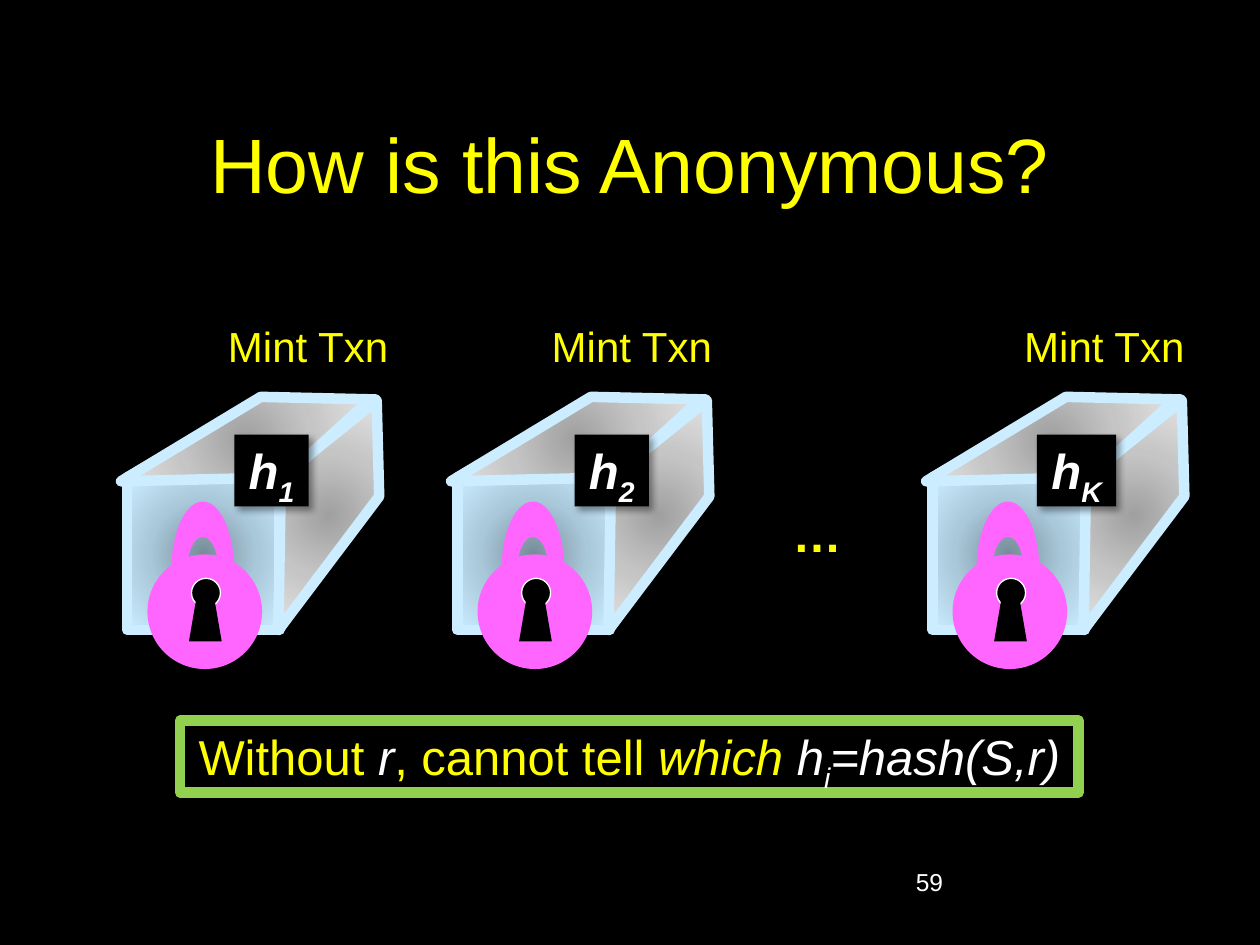
import math

from pptx import Presentation
from pptx.dml.color import RGBColor
from pptx.enum import shapes as kinds, text as txt
from pptx.oxml import parse_xml
from pptx.oxml.ns import nsdecls, qn
from pptx.util import Inches, Pt

BLACK, WHITE, YELLOW = "000000", "FFFFFF", "FFFF00"
ICE, PINK, GREEN = "CCECFF", "FF66FF", "92D050"
GLASS = ("778C99", "A9C8DA", "CCECFF")
STEEL = ("A0A0A0", "C5C5C5", "E3E3E3")
RECT, OVAL = kinds.MSO_SHAPE.RECTANGLE, kinds.MSO_SHAPE.OVAL


def paint(shape, fill=None, line=None, width=6, shadow=False):
    """Fill with a hex colour or a radial run of three; set outline and shadow."""
    props = shape._element.spPr
    if isinstance(fill, str):
        shape.fill.solid()
        shape.fill.fore_color.rgb = RGBColor.from_string(fill)
    elif hasattr(shape, "fill"):
        shape.fill.background()
        if fill:
            stops = "".join(f'<a:gs pos="{i * 50000}"><a:srgbClr val="{c}"/></a:gs>'
                            for i, c in enumerate(fill))
            props.replace(props.find(qn("a:noFill")), parse_xml(
                f'<a:gradFill {nsdecls("a")} rotWithShape="1"><a:gsLst>{stops}</a:gsLst>'
                '<a:path path="circle"><a:fillToRect l="50000" t="50000" r="50000" '
                'b="50000"/></a:path></a:gradFill>'))
    if line:
        shape.line.color.rgb = RGBColor.from_string(line)
        shape.line.width = Pt(width)
        shape.line._ln.append(parse_xml(f'<a:round {nsdecls("a")}/>'))
    else:
        shape.line.fill.background()
    effect = ('<a:outerShdw blurRad="50800" dist="38100" dir="2700000"><a:srgbClr val="000000">'
              '<a:alpha val="40000"/></a:srgbClr></a:outerShdw>') if shadow else ""
    props.append(parse_xml(f'<a:effectLst {nsdecls("a")}>{effect}</a:effectLst>'))


def write(shape, *runs, size=28, color=YELLOW, bold=False, center=True, wrap=False,
          anchor=txt.MSO_ANCHOR.TOP, grow=True):
    """Each run is (text, format), with format keys color, italic and sub."""
    frame = shape.text_frame
    frame.word_wrap = wrap
    frame.vertical_anchor = anchor
    frame.auto_size = (txt.MSO_AUTO_SIZE.SHAPE_TO_FIT_TEXT if grow
                       else txt.MSO_AUTO_SIZE.NONE)
    paragraph = frame.paragraphs[0]
    paragraph.alignment = txt.PP_ALIGN.CENTER if center else txt.PP_ALIGN.LEFT
    for words, form in runs:
        run = paragraph.add_run()
        run.text = words
        font = run.font
        font.name, font.size, font.bold = "Arial", Pt(size), bold
        font.italic = form.get("italic", False)
        font.color.rgb = RGBColor.from_string(form.get("color", color))
        if form.get("sub"):
            font._element.set("baseline", "-25000")


prs = Presentation()
prs.slide_width, prs.slide_height = Inches(10), Inches(7.5)
slide = prs.slides.add_slide(prs.slide_layouts[5])
slide.background.fill.solid()
slide.background.fill.fore_color.rgb = RGBColor.from_string(BLACK)

# Title and page number
title = slide.shapes.title
title.left, title.top, title.width, title.height = map(Inches, (0.75, 0.67, 8.5, 1.25))
write(title, ("How is this Anonymous?", {}), size=44, wrap=True,
      anchor=txt.MSO_ANCHOR.MIDDLE, grow=False)
page = slide.shapes.add_textbox(*map(Inches, (7.17, 6.83, 2.08, 0.5)))
write(page, ("59", {}), size=14, color=WHITE, center=False, wrap=True, grow=False)

# Locked box parts, placed as in the first box
back = (RECT, (2.09, 3.17, 0.89, 0.75), dict(line=ICE))
front = (RECT, (1.01, 3.79, 1.21, 1.21), dict(fill=GLASS, line=ICE))
edges = [(1.01, 3.79, 2.09, 3.17), (2.21, 5, 2.98, 3.92), (2.26, 3.79, 2.98, 3.17)]
side = ([(2.23, 3.79), (2.99, 3.18), (3.01, 3.94), (2.21, 5)], dict(fill=STEEL, line=ICE))
lid = ([(2.07, 3.15), (0.96, 3.82), (2.26, 3.79), (2.94, 3.17)], dict(fill=STEEL, line=ICE))
body = (OVAL, (1.17, 4.4, 0.91, 0.91), dict(fill=PINK))
keyhole = (OVAL, (1.52, 4.59, 0.23, 0.23), dict(fill=BLACK, line=WHITE, width=0.75))
slot = ([(1.5, 5.09), (1.56, 4.74), (1.7, 4.74), (1.76, 5.09)], dict(fill=BLACK))

# Shackle: outer half ellipse one way, inner half ellipse back
turns = [math.pi * step / 24 for step in range(25)]
arcs = [(0.25, 0.55, turns), (0.125, 0.27, turns[::-1])]
shackle = ([(1.61 + rx * math.cos(t), 4.53 - ry * math.sin(t))
            for rx, ry, angles in arcs for t in angles], dict(fill=PINK))

for shift in (0, 2.62, 6.39):
    box = slide.shapes.add_group_shape().shapes
    for part in (back, front, *edges, side, lid, body, keyhole, slot, shackle):
        if part in edges:
            x1, y1, x2, y2 = part
            edge = box.add_connector(kinds.MSO_CONNECTOR.STRAIGHT, Inches(x1 + shift),
                                     Inches(y1), Inches(x2 + shift), Inches(y2))
            paint(edge, line=ICE)
        elif isinstance(part[0], list):
            points = [(Inches(x + shift), Inches(y)) for x, y in part[0]]
            outline = box.build_freeform(*points[0], scale=1.0)
            outline.add_line_segments(points[1:], close=True)
            paint(outline.convert_to_shape(), **part[1])
        else:
            preset, (x, y, w, h), look = part
            paint(box.add_shape(preset, *map(Inches, (x + shift, y, w, h))), **look)

# Ellipsis between the boxes
ellipsis = slide.shapes.add_shape(RECT, *map(Inches, (6.19, 3.95, 0.59, 0.57)))
paint(ellipsis, BLACK, shadow=True)
write(ellipsis, ("…", {}), bold=True)

# Conclusion
conclusion = slide.shapes.add_shape(RECT, *map(Inches, (1.43, 5.72, 7.13, 0.57)))
paint(conclusion, BLACK, GREEN, shadow=True)
formula = dict(color=WHITE, italic=True)
write(conclusion, ("Without ", {}), ("r", formula), (", cannot tell ", {}),
      ("which ", dict(italic=True)), ("h", formula), ("i", dict(formula, sub=True)),
      ("=hash(S,r)", formula))

# Hash labels
for index, x, width in (("1", 1.86, 0.59), ("2", 4.56, 0.59), ("K", 8.23, 0.63)):
    label = slide.shapes.add_shape(RECT, *map(Inches, (x, 3.45, width, 0.57)))
    paint(label, BLACK, shadow=True)
    write(label, ("h", formula), (index, dict(formula, sub=True)), bold=True)

# Captions above the boxes
for x in (1.59, 4.16, 7.91):
    caption = slide.shapes.add_shape(RECT, *map(Inches, (x, 2.49, 1.71, 0.5)))
    paint(caption, BLACK)
    write(caption, ("Mint Txn", {}), size=24, wrap=True, anchor=txt.MSO_ANCHOR.MIDDLE)

prs.save("out.pptx")
